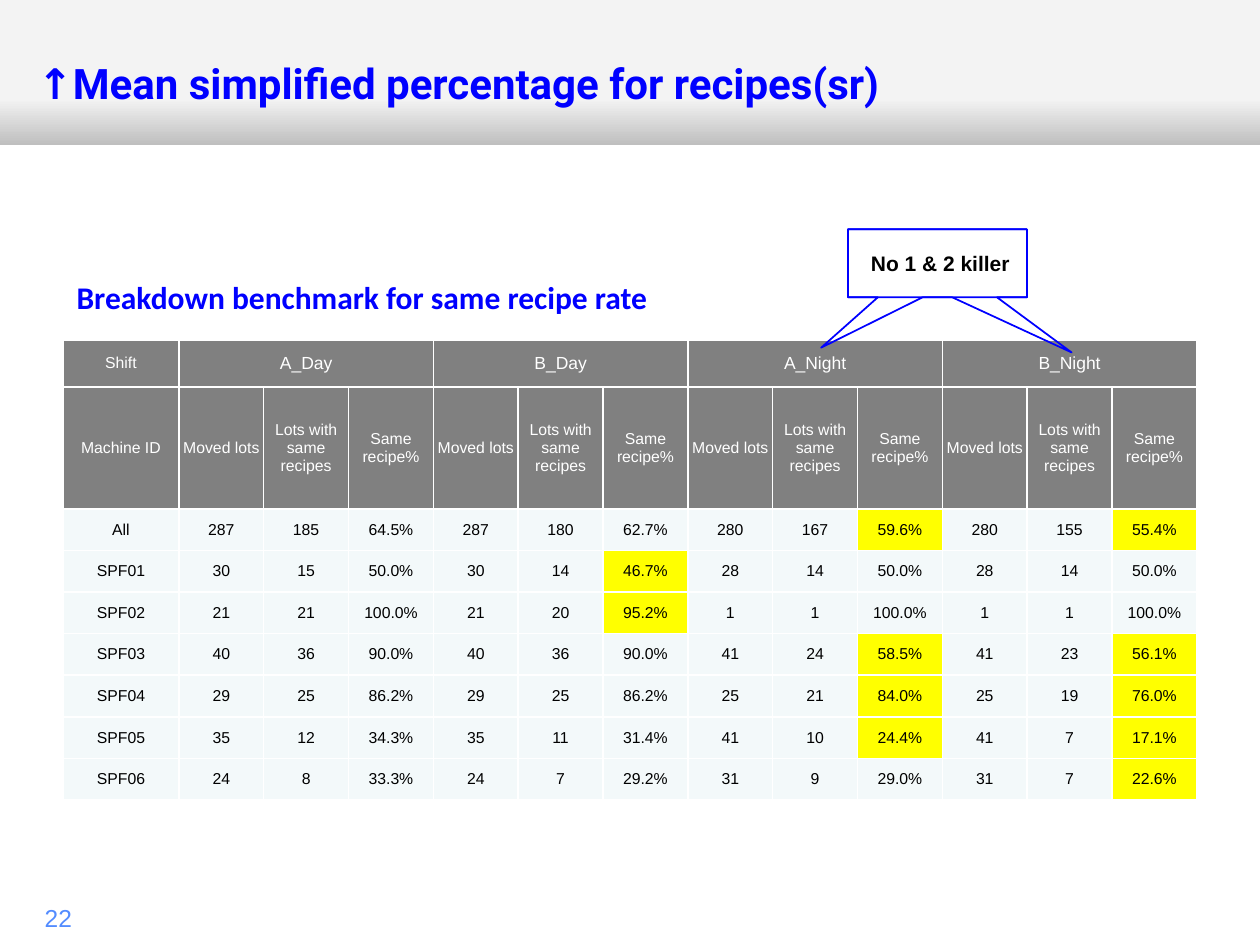
from lxml.etree import SubElement
from pptx import Presentation
from pptx.dml.color import RGBColor
from pptx.enum.shapes import MSO_SHAPE
from pptx.enum.text import MSO_ANCHOR, PP_ALIGN
from pptx.oxml.ns import qn
from pptx.util import Inches, Pt

COLORS = {
    "blue": "0000FF", "page": "538CFF", "white": "FFFFFF", "black": "000000",
    "header": "808080", "body": "F3F9FA", "highlight": "FFFF00",
    "band_dark": "BFBFBF", "band_light": "F3F3F3",
}
# The slide is a grid of 200 columns by 150 rows.
GRID_COLS, GRID_ROWS = 200, 150
UNIT = Inches(10) / GRID_COLS

SHIFTS = ["A_Day", "B_Day", "A_Night", "B_Night"]
MEASURES = ["Moved lots", "Lots with same recipes", "Same recipe%"]
# Machine, (moved lots, lots with same recipes) per shift, highlighted shifts
MACHINES = [
    ("All", [(287, 185), (287, 180), (280, 167), (280, 155)], ["A_Night", "B_Night"]),
    ("SPF01", [(30, 15), (30, 14), (28, 14), (28, 14)], ["B_Day"]),
    ("SPF02", [(21, 21), (21, 20), (1, 1), (1, 1)], ["B_Day"]),
    ("SPF03", [(40, 36), (40, 36), (41, 24), (41, 23)], ["A_Night", "B_Night"]),
    ("SPF04", [(29, 25), (29, 25), (25, 21), (25, 19)], ["A_Night", "B_Night"]),
    ("SPF05", [(35, 12), (35, 11), (41, 10), (41, 7)], ["A_Night", "B_Night"]),
    ("SPF06", [(24, 8), (24, 7), (31, 9), (31, 7)], ["B_Night"]),
]


def rgb(name):
    return RGBColor.from_string(COLORS[name])


def grid(*units):
    """Turn grid units into slide lengths."""
    return [round(u * UNIT) for u in units]


def write(tf, text, font, size, color, bold=False, align=PP_ALIGN.LEFT):
    p = tf.paragraphs[0]
    p.alignment = align
    r = p.add_run()
    r.text = text
    r.font.name, r.font.size, r.font.bold = font, Pt(size), bold
    r.font.color.rgb = rgb(color)
    return p


def add_text(s, box, text, font, size, color, anchor=MSO_ANCHOR.MIDDLE, **style):
    tf = s.shapes.add_textbox(*grid(*box)).text_frame
    tf.word_wrap = True
    tf.vertical_anchor = anchor
    return write(tf, text, font, size, color, **style)


def add_band(s):
    sp = s.shapes.add_shape(MSO_SHAPE.RECTANGLE, *grid(0, -0.6, GRID_COLS, 23.6))
    sp.shadow.inherit = False
    sp.line.fill.background()
    sp.fill.gradient()
    sp.fill.gradient_angle = 90
    stops = [(0, "band_dark"), (0.31, "band_light")]
    for stop, (position, color) in zip(sp.fill.gradient_stops, stops):
        stop.position = position
        stop.color.rgb = rgb(color)


def set_borders(cell):
    tcPr = cell._tc.get_or_add_tcPr()
    for i, side in enumerate(("lnL", "lnR", "lnT", "lnB")):
        ln = SubElement(tcPr, qn(f"a:{side}"), w=str(Pt(1)))
        fill = SubElement(ln, qn("a:solidFill"))
        SubElement(fill, qn("a:srgbClr"), val=COLORS["white"])
        tcPr.insert(i, ln)


def fill_cell(cell, text, fill, color, size=9):
    cell.margin_left = cell.margin_right = cell.margin_top = cell.margin_bottom = 0
    cell.vertical_anchor = MSO_ANCHOR.MIDDLE
    cell.fill.solid()
    cell.fill.fore_color.rgb = rgb(fill)
    set_borders(cell)
    if text:
        write(cell.text_frame, text, "Arial", size, color, align=PP_ALIGN.CENTER)


def add_rate_table(s):
    step = len(MEASURES)
    n_cols = 1 + step * len(SHIFTS)
    heights = [7.4, 19.4] + [6.6] * len(MACHINES)
    widths = [18.4] + [(180 - 18.4) / (n_cols - 1)] * (n_cols - 1)
    table = s.shapes.add_table(len(heights), n_cols,
                               *grid(10, 54, sum(widths), sum(heights))).table
    for row, height in zip(table.rows, grid(*heights)):
        row.height = height
    for col, width in zip(table.columns, grid(*widths)):
        col.width = width

    fill_cell(table.cell(0, 0), "Shift", "header", "white")
    fill_cell(table.cell(1, 0), "Machine ID", "header", "white")
    for i, shift in enumerate(SHIFTS):
        first = 1 + i * step
        for j, measure in enumerate(MEASURES):
            fill_cell(table.cell(0, first + j), "" if j else shift, "header", "white", 10)
            fill_cell(table.cell(1, first + j), measure, "header", "white")
        table.cell(0, first).merge(table.cell(0, first + step - 1))

    for y, (machine, lots, highlighted) in enumerate(MACHINES, 2):
        fill_cell(table.cell(y, 0), machine, "body", "black")
        for i, (shift, (moved, same)) in enumerate(zip(SHIFTS, lots)):
            first = 1 + i * step
            rate_fill = "highlight" if shift in highlighted else "body"
            fill_cell(table.cell(y, first), str(moved), "body", "black")
            fill_cell(table.cell(y, first + 1), str(same), "body", "black")
            fill_cell(table.cell(y, first + 2), f"{same / moved:.1%}", rate_fill, "black")


def add_double_callout(s, box, text, tips):
    """Stack unfilled callouts on one box, one for each tip; the last holds the text."""
    group = s.shapes.add_group_shape()
    for tip in tips:
        sp = group.shapes.add_shape(MSO_SHAPE.RECTANGULAR_CALLOUT, *grid(*box))
        sp.shadow.inherit = False
        sp.adjustments[0], sp.adjustments[1] = tip
        sp.fill.background()
        sp.line.color.rgb = rgb("blue")
        sp.line.width = Pt(1)
    sp.text_frame.vertical_anchor = MSO_ANCHOR.MIDDLE
    write(sp.text_frame, text, "Arial", 12, "black", bold=True, align=PP_ALIGN.CENTER)


def main():
    prs = Presentation()
    prs.slide_width, prs.slide_height = grid(GRID_COLS, GRID_ROWS)
    s = prs.slides.add_slide(prs.slide_layouts[6])
    add_band(s)
    add_text(s, (0.8, 142.2, 12.6, 6.8), "22", "Arial", 14, "page", align=PP_ALIGN.RIGHT)
    title = add_text(s, (4, 5.6, 195.6, 12), "↑Mean simplified percentage for recipes(sr)",
                     "Roboto", 24, "blue", bold=True)
    title.line_spacing = Pt(40)
    add_text(s, (10.2, 43.2, 113.4, 8), "Breakdown benchmark for same recipe rate",
             "Calibri", 18, "blue", anchor=MSO_ANCHOR.TOP, bold=True)
    add_rate_table(s)
    add_double_callout(s, (134.6, 36.4, 28.4, 10.8), " No 1 & 2 killer",
                       [(-0.65, 1.24), (0.75, 1.31)])
    prs.save("out.pptx")


if __name__ == "__main__":
    main()
